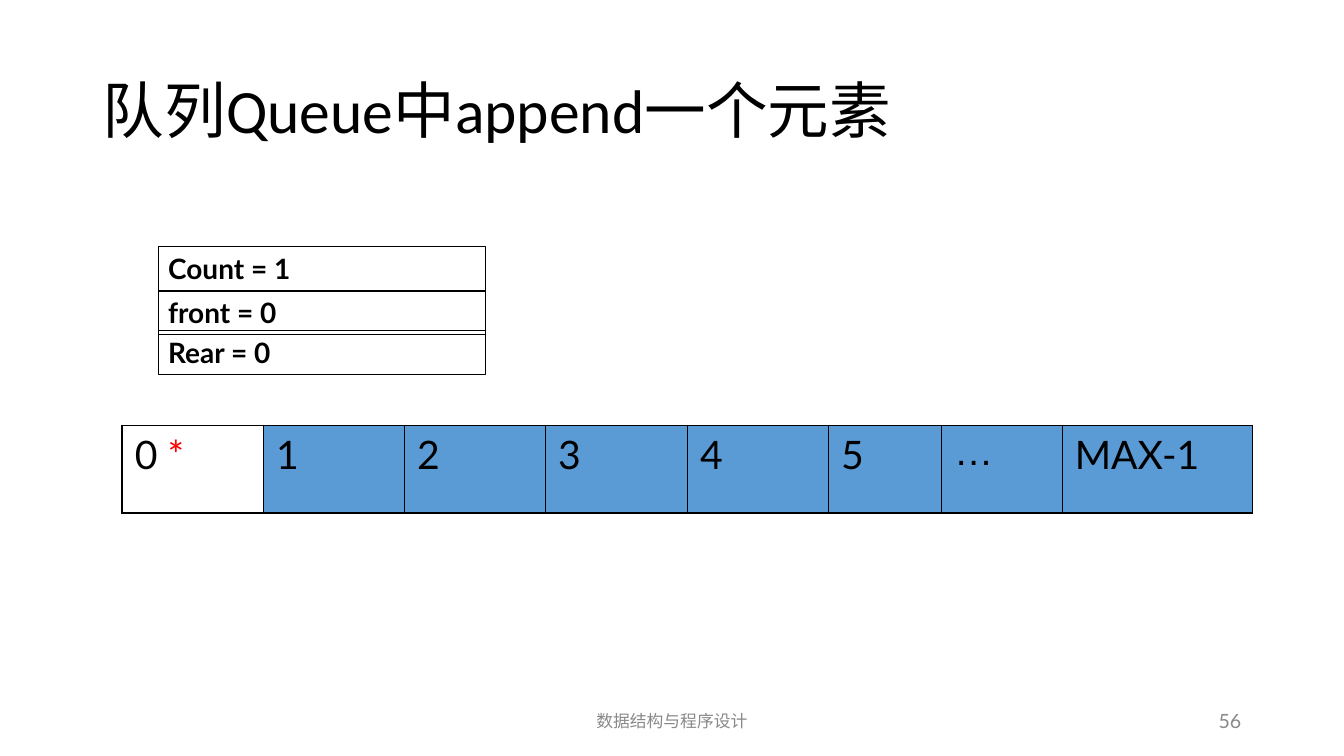
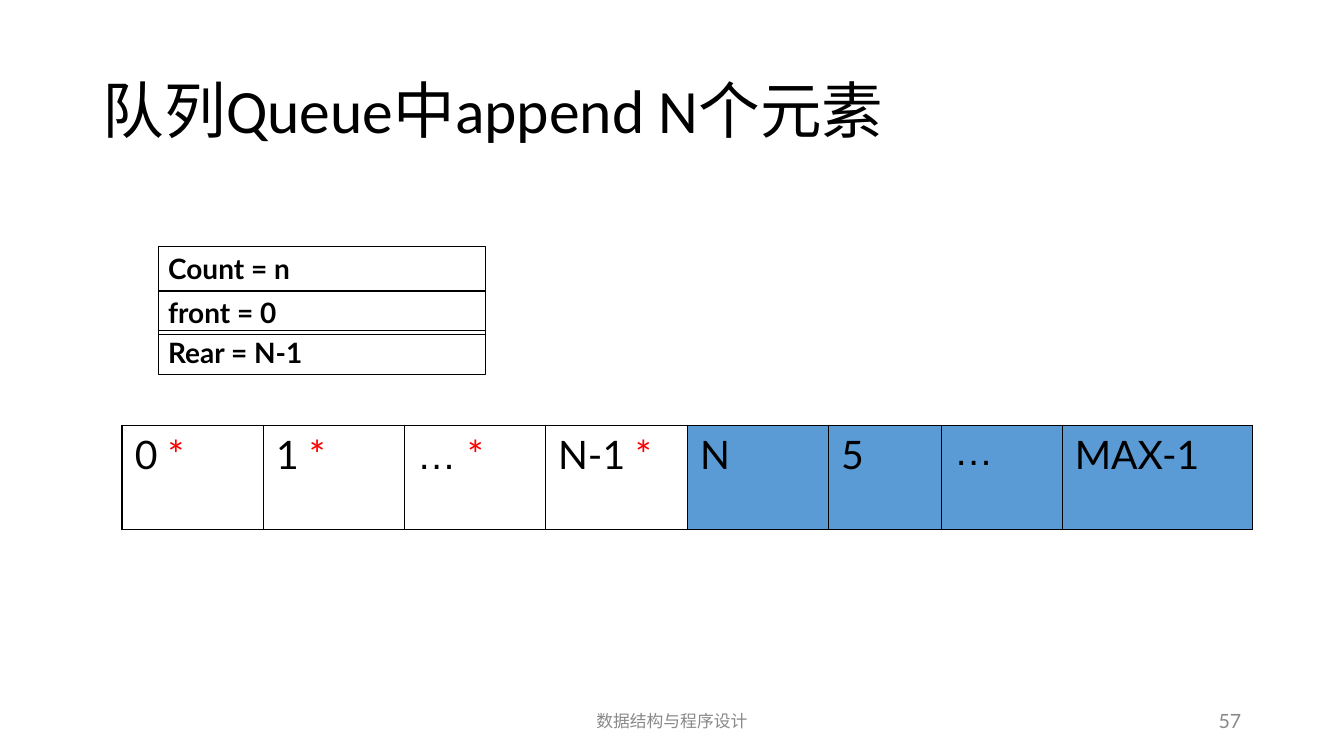
from dataclasses import dataclass

from lxml.etree import SubElement
from pptx import Presentation
from pptx.dml.color import RGBColor
from pptx.enum.shapes import MSO_SHAPE
from pptx.enum.text import MSO_ANCHOR, MSO_AUTO_SIZE, PP_ALIGN
from pptx.oxml.ns import qn
from pptx.util import Inches, Pt

COLORS = {"ink": "000000", "star": "FF0000", "free": "5B9BD5", "footer": "898989"}
BODY_FONT, TITLE_FONT, ELLIPSIS_FONT = "Lato", "Calibri", "Arial"
FOOTER = "数据结构与程序设计"
COLUMN_WIDTHS = [1.4, 1.4, 1.4, 1.41, 1.4, 1.12, 1.2, 1.89]
FIELD_TOPS = [2.45, 2.88, 3.28]
OUTER_LINE, INNER_LINE = 1.08, 0.45


@dataclass
class QueueSlide:
    title: str
    number: int
    fields: list[str]
    cells: list[str]
    used: int  # leading cells that hold an element
    row_height: float


SLIDES = [
    QueueSlide("队列Queue中append一个元素", 56, ["Count = 1", "front = 0", "Rear = 0"],
               ["0", "1", "2", "3", "4", "5", "…", "MAX-1"], 1, 0.87),
    QueueSlide("队列Queue中append N个元素", 57, ["Count = n", "front = 0", "Rear = N-1"],
               ["0", "1", "…", "N-1", "N", "5", "…", "MAX-1"], 4, 1.03),
]


def rgb(name: str) -> RGBColor:
    return RGBColor.from_string(COLORS[name])


def add_text(p, text: str, *, size: float, color: str = "ink", font: str = BODY_FONT,
             bold: bool = False, align=PP_ALIGN.LEFT, before: float = 0) -> None:
    p.alignment = align
    p.space_before = Pt(before)
    r = p.add_run()
    r.text = text
    r.font.size, r.font.name, r.font.bold = Pt(size), font, bold
    r.font.color.rgb = rgb(color)


def add_title(s, text: str) -> None:
    sp = s.shapes.title
    sp.left, sp.top, sp.width, sp.height = map(Inches, (0.92, 0.4, 11.5, 1.45))
    tf = sp.text_frame
    tf.auto_size = MSO_AUTO_SIZE.NONE
    tf.vertical_anchor = MSO_ANCHOR.MIDDLE
    tf.paragraphs[0].line_spacing = 0.9
    add_text(tf.paragraphs[0], text, size=44, font=TITLE_FONT)


def add_footer_text(s, text: str, left: float, width: float, size: float, align) -> None:
    sp = s.shapes.add_textbox(Inches(left), Inches(6.95), Inches(width), Inches(0.4))
    tf = sp.text_frame
    tf.word_wrap = True
    tf.vertical_anchor = MSO_ANCHOR.MIDDLE
    add_text(tf.paragraphs[0], text, size=size, color="footer", align=align)


def add_field(s, text: str, top: float) -> None:
    sp = s.shapes.add_shape(MSO_SHAPE.RECTANGLE, Inches(1.57), Inches(top),
                            Inches(3.25), Inches(0.44))
    sp.shadow.inherit = False
    sp.fill.background()
    sp.line.color.rgb = rgb("ink")
    sp.line.width = Pt(0.75)
    tf = sp.text_frame
    tf.word_wrap = True
    tf.auto_size = MSO_AUTO_SIZE.SHAPE_TO_FIT_TEXT
    tf.vertical_anchor = MSO_ANCHOR.TOP
    add_text(tf.paragraphs[0], text, size=20, bold=True, before=12.5)


def set_borders(cell, left: float, right: float) -> None:
    """Draw the four cell edges; must run before the cell fill is set."""
    tc_pr = cell._tc.get_or_add_tcPr()
    widths = {"a:lnL": left, "a:lnR": right, "a:lnT": OUTER_LINE, "a:lnB": OUTER_LINE}
    for tag, width in widths.items():
        ln = SubElement(tc_pr, qn(tag), w=str(Pt(width)))
        fill = SubElement(ln, qn("a:solidFill"))
        SubElement(fill, qn("a:srgbClr"), val=COLORS["ink"])


def add_queue(s, labels: list[str], used: int, height: float) -> None:
    table = s.shapes.add_table(1, len(labels), Inches(1.21), Inches(4.22),
                               Inches(sum(COLUMN_WIDTHS)), Inches(height)).table
    table.first_row = table.horz_banding = False
    last = len(labels) - 1
    for i, (label, width) in enumerate(zip(labels, COLUMN_WIDTHS)):
        table.columns[i].width = Inches(width)
        cell = table.cell(0, i)
        cell.margin_left = cell.margin_right = Inches(0.13)
        set_borders(cell, OUTER_LINE if i == 0 else INNER_LINE,
                    OUTER_LINE if i == last else INNER_LINE)
        p = cell.text_frame.paragraphs[0]
        font = ELLIPSIS_FONT if label == "…" else BODY_FONT
        if i < used:
            cell.fill.background()
            add_text(p, f"{label} ", size=28, font=font, before=7)
            add_text(p, "*", size=28, color="star", before=7)
        else:
            cell.fill.solid()
            cell.fill.fore_color.rgb = rgb("free")
            add_text(p, label, size=28, font=font, before=7)


def add_slide(prs, content: QueueSlide) -> None:
    s = prs.slides.add_slide(prs.slide_layouts[5])
    add_footer_text(s, FOOTER, 4.42, 4.5, 12, PP_ALIGN.CENTER)
    add_footer_text(s, str(content.number), 9.42, 3, 14, PP_ALIGN.RIGHT)
    add_title(s, content.title)
    for text, top in zip(content.fields, FIELD_TOPS):
        add_field(s, text, top)
    add_queue(s, content.cells, content.used, content.row_height)


def main() -> None:
    prs = Presentation()
    prs.slide_width, prs.slide_height = Inches(13.34), Inches(7.5)
    for content in SLIDES:
        add_slide(prs, content)
    prs.save("out.pptx")


if __name__ == "__main__":
    main()
